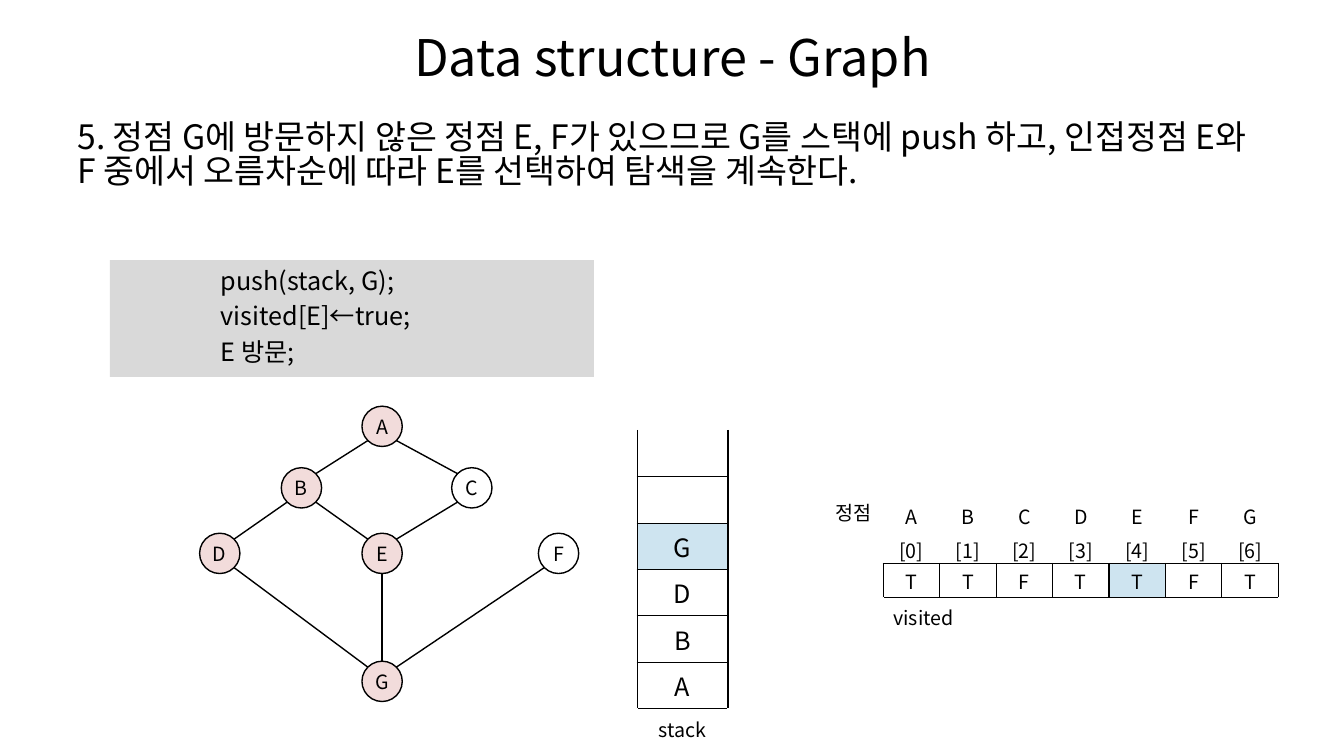
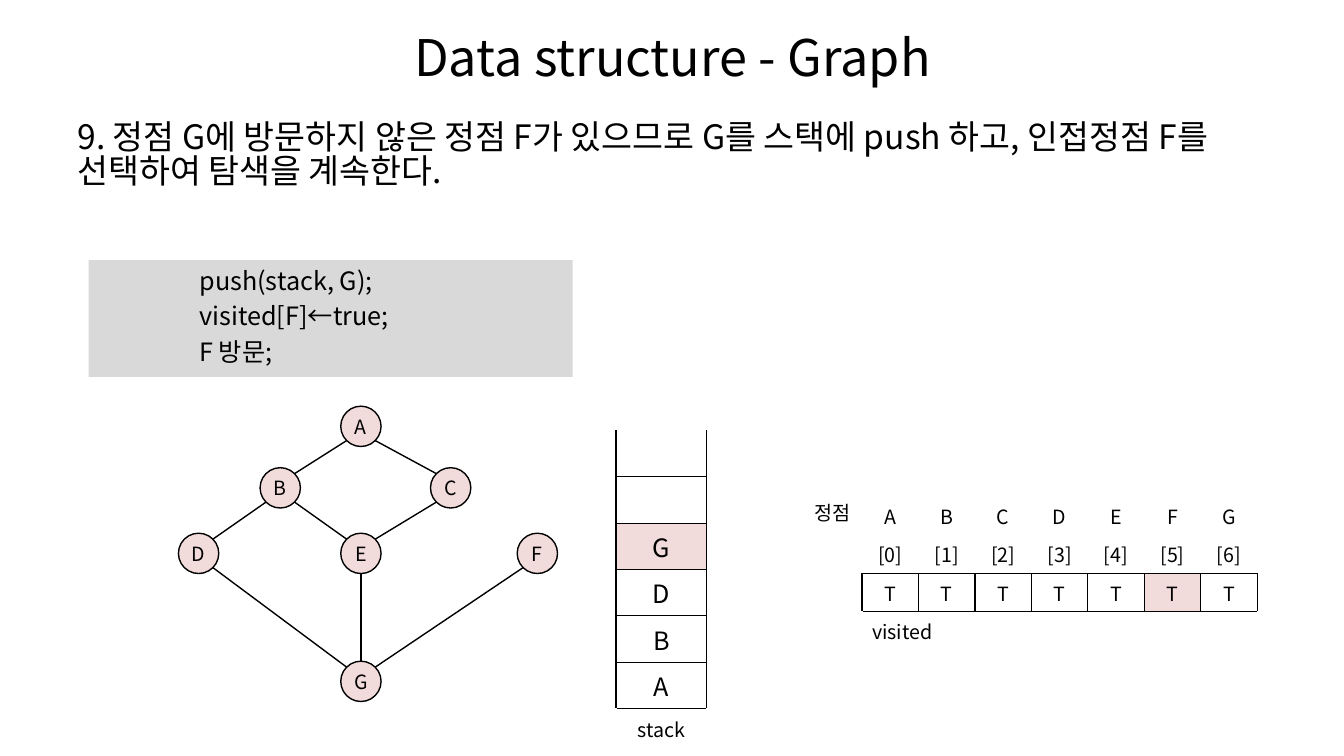
from lxml import etree
from pptx import Presentation
from pptx.dml.color import RGBColor
from pptx.enum.shapes import MSO_CONNECTOR, MSO_SHAPE
from pptx.enum.text import MSO_ANCHOR, PP_ALIGN
from pptx.oxml.ns import qn
from pptx.util import Inches, Pt

FONT = "Noto Sans CJK KR"
BLACK = RGBColor(0x00, 0x00, 0x00)
WHITE = RGBColor(0xFF, 0xFF, 0xFF)
GRAY = RGBColor(0xD9, 0xD9, 0xD9)
PINK = RGBColor(0xF2, 0xDC, 0xDB)
BLUE = RGBColor(0xCE, 0xE4, 0xF0)
LEFT, CENTER = PP_ALIGN.LEFT, PP_ALIGN.CENTER
MIDDLE = MSO_ANCHOR.MIDDLE

TITLE = "Data structure - Graph"
VERTICES = "ABCDEFG"
EDGES = ["AB", "AC", "BD", "BE", "CE", "DG", "EG", "FG"]
# Grid of the graph: vertex centres lie on these columns and rows (inches)
GRAPH_COLUMNS = [2.18, 2.99, 3.79, 4.68, 5.54]
GRAPH_ROWS = [4.23, 4.84, 5.49, 6.76]
VERTEX_CELLS = {"A": (2, 0), "B": (1, 1), "C": (3, 1), "D": (0, 2),
                "E": (2, 2), "F": (4, 2), "G": (2, 3)}
RADIUS = 0.2
DIAGONAL = 0.14  # distance from the centre to a diagonal point of the circle

STACK = ["", "", "G", "D", "B", "A", "stack"]
STACK_ROW = 0.46
VISITED_COLUMN = 0.56

STEPS = [
    {"text": "5. 정점 G에 방문하지 않은 정점 E, F가 있으므로 G를 스택에 push 하고, "
             "인접정점 E와 F 중에서 오름차순에 따라 E를 선택하여 탐색을 계속한다.",
     "next": "E", "visited": "ABDEG", "highlight": BLUE,
     "shift": 0, "visited_rows": [0.38, 0.28, 0.34, 0.38]},
    {"text": "9. 정점 G에 방문하지 않은 정점 F가 있으므로 G를 스택에 push 하고, "
             "인접정점 F를 선택하여 탐색을 계속한다.",
     "next": "F", "visited": VERTICES, "highlight": PINK,
     "shift": -0.21, "visited_rows": [0.38] * 4},
]


def write(frame, lines, size, align=LEFT):
    frame.text = "\n".join(lines)
    for paragraph in frame.paragraphs:
        paragraph.alignment = align
        font = paragraph.font
        font.name, font.size = FONT, Pt(size)
        font.color.rgb = BLACK
        east_asian = etree.SubElement(paragraph._p.pPr.find(qn("a:defRPr")), qn("a:ea"))
        east_asian.set("typeface", FONT)


def format_cell(cell, text, size, fill, edges, align=CENTER):
    """Edges is a string out of L, R, T and B, in that order."""
    write(cell.text_frame, [text], size, align)
    cell.vertical_anchor = MIDDLE
    properties = cell._tc.get_or_add_tcPr()
    for edge in edges:
        border = etree.SubElement(properties, qn("a:ln" + edge), w=str(Pt(1)))
        color = etree.SubElement(etree.SubElement(border, qn("a:solidFill")), qn("a:srgbClr"))
        color.set("val", str(BLACK))
    cell.fill.solid()
    cell.fill.fore_color.rgb = fill


prs = Presentation()
prs.slide_width, prs.slide_height = Inches(13.33), Inches(7.5)
title_only = prs.slide_layouts[5]

for step in STEPS:
    slide = prs.slides.add_slide(title_only)
    shapes = slide.shapes
    shift = step["shift"]
    target = step["next"]

    title = shapes.title
    title.left, title.top = Inches(0.67), Inches(0.13)
    title.width, title.height = Inches(12), Inches(0.85)
    title.text_frame.vertical_anchor = MIDDLE
    write(title.text_frame, [TITLE], 36, CENTER)

    explanation = shapes.add_textbox(Inches(0.67), Inches(1.17), Inches(12), Inches(1)).text_frame
    explanation.word_wrap = True
    write(explanation, [step["text"]], 24)
    explanation.paragraphs[0].line_spacing = 0.83

    # Pseudocode
    code = shapes.add_shape(MSO_SHAPE.RECTANGLE, Inches(1.09 + shift), Inches(2.58),
                            Inches(4.8), Inches(1.16))
    code.shadow.inherit = False
    code.fill.solid()
    code.fill.fore_color.rgb = GRAY
    code.line.fill.background()
    code.text_frame.vertical_anchor = MIDDLE
    write(code.text_frame, ["push(stack, G);", f"visited[{target}]←true;", f"{target} 방문;"], 18)
    for statement in code.text_frame.paragraphs:
        statement.line_spacing = 0.8
        statement.space_after = Pt(8)
        statement._p.pPr.set("marL", str(Inches(1)))

    # Graph
    centers = {name: (GRAPH_COLUMNS[column] + shift, GRAPH_ROWS[row])
               for name, (column, row) in VERTEX_CELLS.items()}
    for upper, lower in EDGES:
        (x1, y1), (x2, y2) = centers[upper], centers[lower]
        side = (x2 > x1) - (x2 < x1)
        dx, dy = side * DIAGONAL, DIAGONAL if side else RADIUS
        edge = shapes.add_connector(MSO_CONNECTOR.STRAIGHT, Inches(x1 + dx), Inches(y1 + dy),
                                    Inches(x2 - dx), Inches(y2 - dy))
        edge.line.color.rgb = BLACK
        edge.line.width = Pt(1)
        etree.SubElement(edge._element.spPr, qn("a:effectLst"))
    for name, (x, y) in centers.items():
        vertex = shapes.add_shape(MSO_SHAPE.OVAL, Inches(x - RADIUS), Inches(y - RADIUS),
                                  Inches(2 * RADIUS), Inches(2 * RADIUS))
        vertex.shadow.inherit = False
        vertex.fill.solid()
        vertex.fill.fore_color.rgb = PINK if name in step["visited"] else WHITE
        vertex.line.color.rgb = BLACK
        vertex.line.width = Pt(1)
        frame = vertex.text_frame
        frame.margin_left = frame.margin_right = frame.margin_top = frame.margin_bottom = 0
        frame.word_wrap = False
        frame.vertical_anchor = MIDDLE
        write(frame, [name], 14, CENTER)

    # Stack
    stack = shapes.add_table(len(STACK), 1, Inches(6.32 + shift), Inches(4.27), Inches(0.9),
                             Inches(STACK_ROW * len(STACK))).table
    stack.first_row = stack.horz_banding = False
    for row, item in enumerate(STACK):
        caption = item == "stack"
        stack.rows[row].height = Inches(0.41 if caption else STACK_ROW)
        edges = "T" if caption else "LRTB" if row else "LRB"
        format_cell(stack.cell(row, 0), item, 14 if caption else 18,
                    step["highlight"] if item == "G" else WHITE, edges)

    # Visited flags
    label = shapes.add_textbox(Inches(8.19 + shift), Inches(4.92), Inches(0.56), Inches(0.34))
    label.text_frame.word_wrap = False
    write(label.text_frame, ["정점"], 14)

    heights = step["visited_rows"]
    flags = shapes.add_table(4, len(VERTICES), Inches(8.76 + shift), Inches(4.93),
                             Inches(VISITED_COLUMN * len(VERTICES)), Inches(sum(heights))).table
    flags.first_row = flags.horz_banding = False
    for row, height in enumerate(heights):
        flags.rows[row].height = Inches(height)
    for column, name in enumerate(VERTICES):
        flags.columns[column].width = Inches(VISITED_COLUMN)
        flag = "T" if name in step["visited"] else "F"
        caption = "" if column else "visited"
        entries = [(name, ""), (f"[{column}]", "B"), (flag, "LRTB"), (caption, "T")]
        for row, (text, edges) in enumerate(entries):
            cell = flags.cell(row, column)
            cell.margin_top = cell.margin_bottom = 0
            marked = row == 2 and name == target
            format_cell(cell, text, 14, step["highlight"] if marked else WHITE, edges,
                        LEFT if row == 3 else CENTER)
    flags.cell(3, 0).merge(flags.cell(3, len(VERTICES) - 1))

prs.save("out.pptx")
